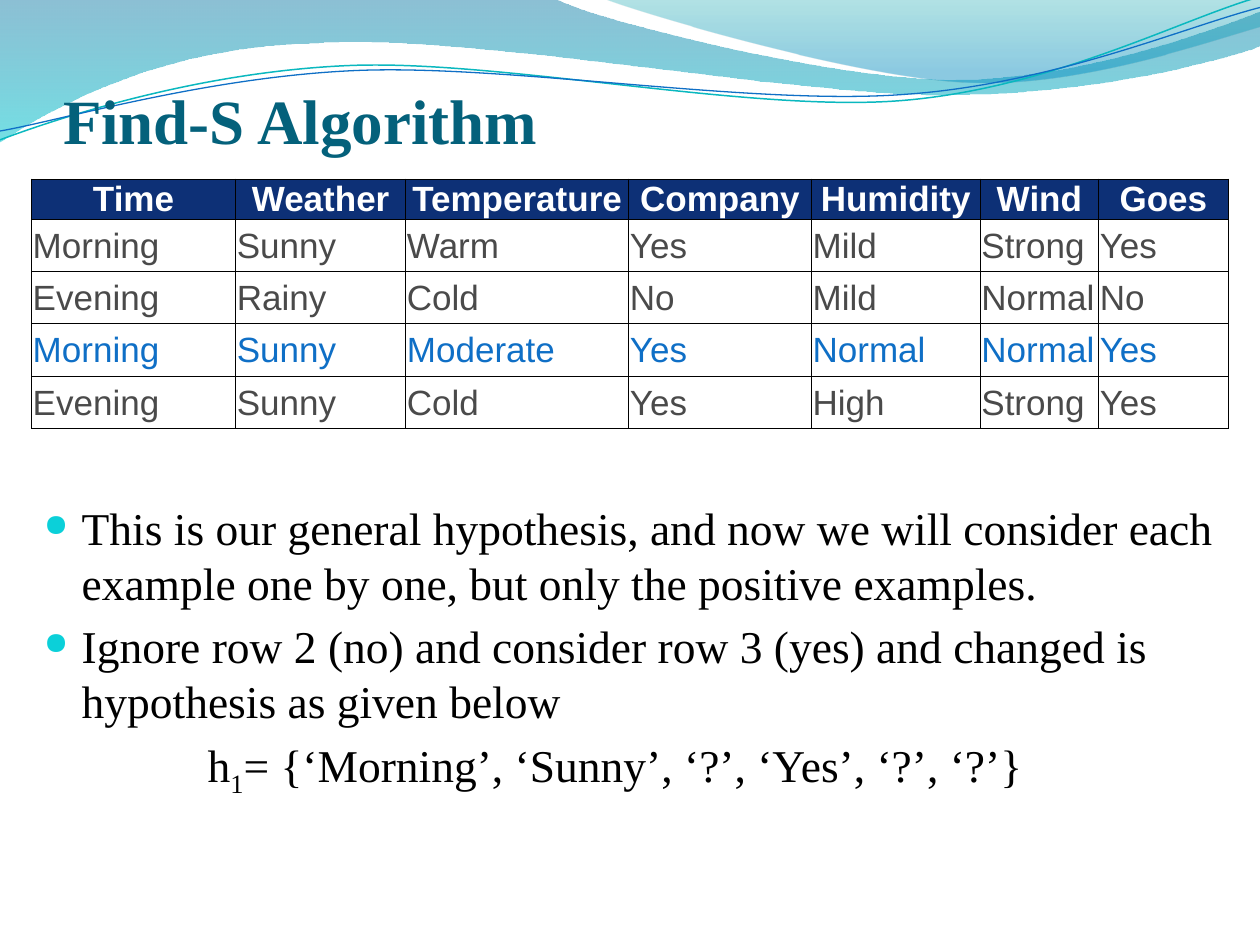
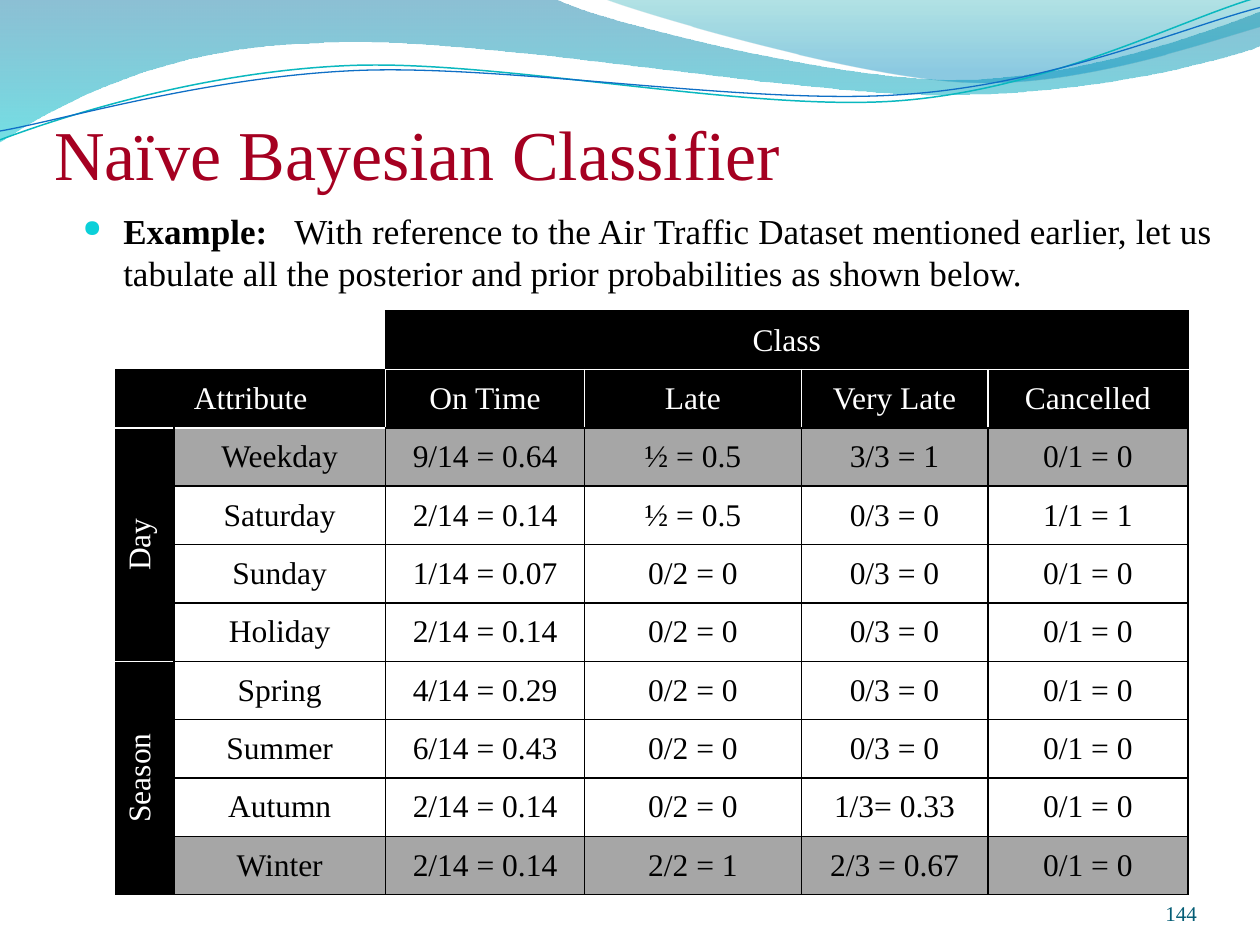
import math
from dataclasses import dataclass
from typing import Optional

import pptx
import pptx.dml.color
import pptx.enum.text
import pptx.oxml
import pptx.oxml.ns
import pptx.util
from lxml import etree
from pptx.util import Inches

SERIF, SANS = "Times New Roman", "Arial"
BLACK, WHITE, GREY = "000000", "FFFFFF", "A6A6A6"
TEAL, CRIMSON, NAVY = "04617B", "A50021", "0D3076"
BLUE, CHARCOAL, BULLET = "0F6FC6", "4A4A4A", "0BD0D9"
ALIGN = pptx.enum.text.PP_ALIGN
ANCHOR = pptx.enum.text.MSO_ANCHOR


@dataclass
class Wave:
    """A curve in inches; a pair is a line end, six numbers are a cubic curve."""
    start: tuple
    segments: list
    stops: tuple = ()  # (position, colour, opacity percent)
    line: Optional[tuple] = None  # (colour, points)
    rotation: float = 0
    center: tuple = (0, 0)


@dataclass
class TableStyle:
    font: str
    size: float
    margins: tuple  # left, top, right, bottom


WAVES = [
    Wave((0, 0), [(4.4, -0.01), (4.76, 0.17, 6.64, 0.63, 7.58, 0.63),
                  (8.53, 0.63, 9.58, 0.26, 10, 0.09), (10.01, 0.36),
                  (9.83, 0.44, 8.7, 0.76, 7.46, 0.75),
                  (6.22, 0.75, 3.82, 0.28, 2.57, 0.34),
                  (1.29, 0.36, 0.46, 0.83, -0.01, 1.13), (0, 0)],
         stops=((0, "0074A1", 45), (1, "00C6CF", 55))),
    Wave((4.79, -0.01), [(5.09, 0.11, 6.82, 0.62, 7.69, 0.65),
                         (8.56, 0.69, 9.61, 0.32, 10, 0.21), (10, 0), (4.79, -0.01)],
         stops=((0, "00A1A9", 30), (0.8, "008BBF", 45))),
    Wave((0, 1.11), [(0.48, 0.93, 1.58, 0.57, 2.77, 0.52),
                     (3.95, 0.47, 5.93, 0.89, 7.13, 0.8),
                     (8.33, 0.71, 9.38, 0.15, 9.98, -0.02)],
         line=("0AB8BF", 0.85), rotation=357.3, center=(4.99, 0.58)),
    Wave((0, 1.04), [(0.47, 0.96, 1.64, 0.61, 2.83, 0.56),
                     (4.03, 0.51, 5.97, 0.84, 7.17, 0.75),
                     (8.36, 0.67, 9.41, 0.21, 10, 0.06)],
         line=(BLUE, 0.75), rotation=357.3, center=(5, 0.59)),
]

OUTINGS = [
    "Time Weather Temperature Company Humidity Wind Goes".split(),
    "Morning Sunny Warm Yes Mild Strong Yes".split(),
    "Evening Rainy Cold No Mild Normal No".split(),
    "Morning Sunny Moderate Yes Normal Normal Yes".split(),
    "Evening Sunny Cold Yes High Strong Yes".split(),
]
HIGHLIGHTED_OUTING = 3

PROBABILITIES = [
    ["", "", "Class", "", "", ""],
    ["Attribute", "", "On Time", "Late", "Very Late", "Cancelled"],
    ["Day", "Weekday", "9/14 = 0.64", "½ = 0.5", "3/3 = 1", "0/1 = 0"],
    ["", "Saturday", "2/14 = 0.14", "½ = 0.5", "0/3 = 0", "1/1 = 1"],
    ["", "Sunday", "1/14 = 0.07", "0/2 = 0", "0/3 = 0", "0/1 = 0"],
    ["", "Holiday", "2/14 = 0.14", "0/2 = 0", "0/3 = 0", "0/1 = 0"],
    ["Season", "Spring", "4/14 = 0.29", "0/2 = 0", "0/3 = 0", "0/1 = 0"],
    ["", "Summer", "6/14 = 0.43", "0/2 = 0", "0/3 = 0", "0/1 = 0"],
    ["", "Autumn", "2/14 = 0.14", "0/2 = 0", "1/3= 0.33", "0/1 = 0"],
    ["", "Winter", "2/14 = 0.14", "2/2 = 1", "2/3 = 0.67", "0/1 = 0"],
]
GREY_ROWS = (2, 9)
MERGES = [((0, 0), (0, 1)), ((0, 2), (0, 5)), ((1, 0), (1, 1)),
          ((2, 0), (5, 0)), ((6, 0), (9, 0))]


def rgb(color: str):
    return pptx.dml.color.RGBColor.from_string(color)


def add_xml(parent, tag: str, **attributes: str):
    return etree.SubElement(parent, pptx.oxml.ns.qn(tag), attributes)


def write(paragraph, text: str, *, size: float, color: str = BLACK, font: str = SERIF,
          bold: bool = False, baseline: int = 0, spacing: int = 0) -> None:
    """Append a run; baseline is in percent and spacing in points."""
    run = paragraph.add_run()
    run.text = text
    run.font.name, run.font.size, run.font.bold = font, pptx.util.Pt(size), bold
    run.font.color.rgb = rgb(color)
    properties = run._r.get_or_add_rPr()
    if baseline:
        properties.set("baseline", str(baseline * 1000))
    if spacing:
        properties.set("spc", str(spacing * 100))


def set_frame(shape, margins: tuple, anchor):
    frame = shape.text_frame
    frame.auto_size = pptx.enum.text.MSO_AUTO_SIZE.NONE
    frame.word_wrap = True
    frame.vertical_anchor = anchor
    (frame.margin_left, frame.margin_top,
     frame.margin_right, frame.margin_bottom) = map(Inches, margins)
    return frame


def add_text_box(slide, box: tuple, margins=(0.1, 0.05, 0.1, 0.05), anchor=ANCHOR.TOP):
    return set_frame(slide.shapes.add_textbox(*map(Inches, box)), margins, anchor)


def set_indent(paragraph, left: float, hanging: float = 0, bullet: bool = False) -> None:
    properties = paragraph._p.get_or_add_pPr()
    properties.set("marL", str(Inches(left)))
    properties.set("indent", str(-Inches(hanging)))
    if bullet:
        add_xml(add_xml(properties, "a:buClr"), "a:srgbClr", val=BULLET)
        add_xml(properties, "a:buSzPct", val="68000")
        add_xml(properties, "a:buChar", char="●")


def wave_points(wave: Wave) -> list:
    """List all nodes and handles, turned back so that the rotation restores them."""
    points = [wave.start]
    for segment in wave.segments:
        points += zip(segment[::2], segment[1::2])
    angle = math.radians(-wave.rotation)
    cosine, sine = math.cos(angle), math.sin(angle)
    center_x, center_y = wave.center
    turned = []
    for x, y in points:
        dx, dy = x - center_x, y - center_y
        turned.append((Inches(center_x + dx * cosine - dy * sine),
                       Inches(center_y + dx * sine + dy * cosine)))
    return turned


def bend_segments(shape, segments: list) -> None:
    """Join each three line ends that belong to a cubic curve."""
    lines = iter(list(shape.element.iter(pptx.oxml.ns.qn("a:lnTo"))))
    for segment in segments:
        line = next(lines)
        if len(segment) == 6:
            line.tag = pptx.oxml.ns.qn("a:cubicBezTo")
            for _ in range(2):
                handle = next(lines)
                line.append(handle[0])
                handle.getparent().remove(handle)


def draw_wave(slide, wave: Wave):
    points = wave_points(wave)
    builder = slide.shapes.build_freeform(*points[0])
    builder.add_line_segments(points[1:], close=bool(wave.stops))
    shape = builder.convert_to_shape()
    bend_segments(shape, wave.segments)
    shape.rotation = wave.rotation
    shape.shadow.inherit = False
    if wave.line:
        color, width = wave.line
        shape.fill.background()
        shape.line.color.rgb = rgb(color)
        shape.line.width = pptx.util.Pt(width)
        return shape
    shape.line.fill.background()
    shape.fill.gradient()
    shape.fill.gradient_angle = 270
    for stop, (position, color, _) in zip(shape.fill.gradient_stops, wave.stops):
        stop.position = position
        stop.color.rgb = rgb(color)
    for element, (_, _, opacity) in zip(
            shape.element.iter(pptx.oxml.ns.qn("a:srgbClr")), wave.stops):
        add_xml(element, "a:alpha", val=str(opacity * 1000))
    return shape


def move_waves_to_layout(slide) -> None:
    """Draw the waves, then place them at the back of the layout all slides share."""
    tree = slide.slide_layout.element.cSld.spTree
    for index, wave in enumerate(WAVES):
        element = draw_wave(slide, wave).element
        element.nvSpPr.cNvPr.set("id", str(100 + index))
        tree.insert(2 + index, element)


def add_titled_slide(presentation, title: str, box: tuple, **style):
    slide = presentation.slides.add_slide(presentation.slide_layouts[5])
    shape = slide.shapes.title
    shape.left, shape.top, shape.width, shape.height = map(Inches, box)
    paragraph = set_frame(shape, (0, 0.05, 0, 0), ANCHOR.BOTTOM).paragraphs[0]
    paragraph.alignment = ALIGN.LEFT
    write(paragraph, title, **style)
    return slide


def add_plain_table(slide, left: float, top: float, columns: list, rows: list):
    frame = slide.shapes.add_table(len(rows), len(columns), Inches(left), Inches(top),
                                   Inches(sum(columns)), Inches(sum(rows)))
    table = frame.table
    table.first_row = table.horz_banding = False
    for column, width in zip(table.columns, columns):
        column.width = Inches(width)
    for row, height in zip(table.rows, rows):
        row.height = Inches(height)
    return table


def set_border(cell, side: str, color: Optional[str], width: float) -> None:
    line = add_xml(cell._tc.get_or_add_tcPr(), f"a:ln{side}",
                   w=str(pptx.util.Pt(width)))
    if color:
        add_xml(add_xml(line, "a:solidFill"), "a:srgbClr", val=color)
    else:
        add_xml(line, "a:noFill")


def fill_cell(cell, text: str, style: TableStyle, *, color: str, fill: Optional[str],
              align, bold: bool = False) -> None:
    (cell.margin_left, cell.margin_top,
     cell.margin_right, cell.margin_bottom) = map(Inches, style.margins)
    cell.vertical_anchor = ANCHOR.MIDDLE
    if fill:
        cell.fill.solid()
        cell.fill.fore_color.rgb = rgb(fill)
    else:
        cell.fill.background()
    if text:
        paragraph = cell.text_frame.paragraphs[0]
        paragraph.alignment = align
        write(paragraph, text, size=style.size, font=style.font, color=color, bold=bold)


def add_outings_table(slide) -> None:
    style = TableStyle(SANS, 20, (0.01, 0.01, 0.01, 0))
    table = add_plain_table(slide, 0.25, 1.42, [1.62, 1.35, 1.77, 1.45, 1.34, 0.94, 1.03],
                            [0.32] + [1.66 / 4] * 4)
    for row, values in enumerate(OUTINGS):
        header = row == 0
        color = WHITE if header else BLUE if row == HIGHLIGHTED_OUTING else CHARCOAL
        for column, text in enumerate(values):
            cell = table.cell(row, column)
            for side in "LRTB":
                set_border(cell, side, BLACK, 0.5)
            fill_cell(cell, text, style, color=color, fill=NAVY if header else None,
                      align=ALIGN.CENTER if header else ALIGN.LEFT, bold=header)


def is_dark(row: int, column: int) -> bool:
    """Tell whether a place in the probability table is a heading."""
    if not (0 <= row < len(PROBABILITIES) and 0 <= column < len(PROBABILITIES[0])):
        return False
    return column >= 2 if row == 0 else row == 1 or column == 0


def add_probability_table(slide) -> None:
    style = TableStyle(SERIF, 18, (0.1, 0.05, 0.1, 0.05))
    rows = len(PROBABILITIES)
    table = add_plain_table(slide, 0.92, 2.47, [0.46, 1.68, 1.58, 1.72, 1.48, 1.59],
                            [4.63 / rows] * rows)
    for first, last in MERGES:
        table.cell(*first).merge(table.cell(*last))
    for row, values in enumerate(PROBABILITIES):
        for column, text in enumerate(values):
            cell = table.cell(row, column)
            if cell.is_spanned:
                continue
            dark, corner = is_dark(row, column), row == column == 0
            neighbours = {"L": (row, column - 1), "R": (row, column + cell.span_width),
                          "T": (row - 1, column), "B": (row + cell.span_height, column)}
            for side, neighbour in neighbours.items():
                below_attribute = (row, column, side) == (2, 1, "T")
                white = below_attribute or dark and is_dark(*neighbour)
                color = None if corner and side in "LT" else WHITE if white else BLACK
                set_border(cell, side, color, 1)
            fill = BLACK if dark else GREY if row in GREY_ROWS else None
            fill_cell(cell, text, style, color=WHITE if dark else BLACK, fill=fill,
                      align=ALIGN.CENTER)
            if cell.span_height > 1:
                cell._tc.get_or_add_tcPr().set("vert", "vert270")


def build_find_s_slide(presentation) -> None:
    slide = add_titled_slide(presentation, "Find-S Algorithm", (0.5, 0, 9, 1.25),
                             size=36, color=TEAL, bold=True)
    move_waves_to_layout(slide)
    frame = add_text_box(slide, (0.25, 3.92, 9.5, 3.25))
    lines = [["This is our general hypothesis, and now we will consider each example "
              "one by one, but only the positive examples."],
             ["Ignore row 2 (no) and consider row 3 (yes) and changed is hypothesis "
              "as given below"],
             ["h", "1", "= {‘Morning’, ‘Sunny’, ‘?’, ‘Yes’, ‘?’, ‘?’}"]]
    for index, parts in enumerate(lines):
        paragraph = frame.add_paragraph() if index else frame.paragraphs[0]
        if len(parts) == 1:
            set_indent(paragraph, 0.3, 0.3, bullet=True)
        else:
            set_indent(paragraph, 1.3)
        if index:
            paragraph.space_before = pptx.util.Pt(5.2)
        for part in parts:
            write(paragraph, part, size=26, baseline=-25 if part == "1" else 0)
    add_outings_table(slide)


def build_bayes_slide(presentation) -> None:
    slide = add_titled_slide(presentation, "Naïve Bayesian Classifier",
                             (0.43, 0.29, 9, 1.25), size=40, color=CRIMSON)
    number = add_text_box(slide, (8.67, 6.95, 0.83, 0.4), (0, 0, 0, 0), ANCHOR.BOTTOM)
    number.paragraphs[0].alignment = ALIGN.RIGHT
    write(number.paragraphs[0], "144", size=12, color="045D75")
    example = add_text_box(slide, (0.5, 1.61, 9.22, 5.17)).paragraphs[0]
    set_indent(example, 0.38, 0.32, bullet=True)
    example.alignment = ALIGN.JUSTIFY
    write(example, "Example:", size=20, bold=True)
    write(example, " ", size=20, bold=True, spacing=10)
    write(example, "With reference to the Air Traffic Dataset mentioned earlier, let us "
          "tabulate all the posterior and prior probabilities as shown below.", size=20)
    add_probability_table(slide)


def main() -> None:
    presentation = pptx.Presentation()
    presentation.slide_width, presentation.slide_height = Inches(10), Inches(7.5)
    build_find_s_slide(presentation)
    build_bayes_slide(presentation)
    presentation.save("out.pptx")


if __name__ == "__main__":
    main()
